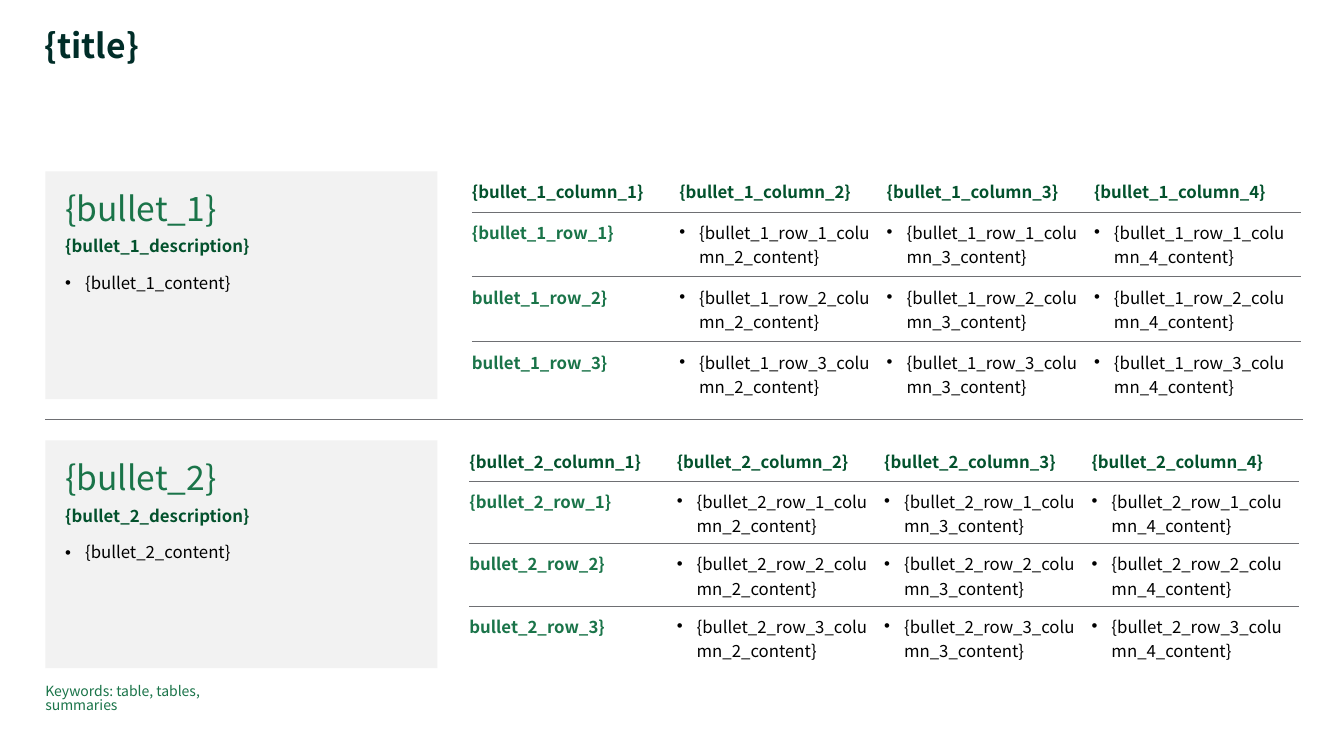
from lxml import etree
from pptx import Presentation
from pptx import util as u
from pptx.dml.color import RGBColor
from pptx.enum import shapes, text
from pptx.oxml import ns

Pt = u.Pt
FONT = "Noto Sans CJK JP"
INK = RGBColor(0x00, 0x2D, 0x28)
DARK = RGBColor(0x03, 0x52, 0x2D)
GREEN = RGBColor(0x1A, 0x74, 0x49)
BLACK = RGBColor(0, 0, 0)
PANEL = RGBColor(0xF2, 0xF2, 0xF2)
RULE = RGBColor(0x6E, 0x6F, 0x73)

# Content
TITLE = "{title}"
KEYWORDS = "Keywords: table, tables, summaries"
COLUMNS = [1, 2, 3, 4]
ROW_LABELS = ["{{bullet_{0}_row_1}}", "bullet_{0}_row_2}}", "bullet_{0}_row_3}}"]
# number, top, table left, bottom inset of the table cells
SECTIONS = [(1, 122.4, 337.1, 5.76), (2, 314.6, 335.3, 4)]

# Layout
LEFT, RIGHT = 32.4, 930.7
PANEL_WIDTH, PANEL_HEIGHT = 280.1, 162.7
COLUMN_WIDTH, HEADER_HEIGHT, ROW_HEIGHT = 148.15, 28.8, 44.64
INDENT = 14.2


def add_child(parent, tag, **attributes):
    return etree.SubElement(parent, ns.qn(tag), attributes)


def write(para, words, size=12, color=BLACK, bold=False, bullet=False, after=0, line=None):
    if bullet:
        props = para._p.get_or_add_pPr()
        props.set("marL", str(Pt(INDENT)))
        props.set("indent", str(-Pt(INDENT)))
        add_child(add_child(props, "a:buClr"), "a:srgbClr", val=str(BLACK))
        add_child(props, "a:buFont", typeface="Arial")
        add_child(props, "a:buChar", char="•")
    para.alignment = text.PP_ALIGN.LEFT
    para.space_before = Pt(0)
    para.space_after = Pt(after)
    if line:
        para.line_spacing = line
    span = para.add_run()
    span.text = words
    font = span.font
    font.name, font.size, font.bold = FONT, Pt(size), bold
    font.color.rgb = color
    for script in ("a:ea", "a:cs"):
        add_child(font._element, script, typeface=FONT)


def set_insets(frame, left=0, top=0, right=0, bottom=0):
    frame.margin_left, frame.margin_top = Pt(left), Pt(top)
    frame.margin_right, frame.margin_bottom = Pt(right), Pt(bottom)


def set_borders(cell, ruled):
    props = cell._tc.get_or_add_tcPr()
    fill = props[0]
    for side in ("a:lnL", "a:lnR", "a:lnT", "a:lnB"):
        border = etree.Element(ns.qn(side), w=str(Pt(0.5)))
        if side in ruled:
            add_child(add_child(border, "a:solidFill"), "a:srgbClr", val=str(RULE))
        else:
            add_child(border, "a:noFill")
        fill.addprevious(border)


def add_summary_table(page, number, top, left, bottom_inset):
    rows, columns = len(ROW_LABELS) + 1, len(COLUMNS)
    table = page.shapes.add_table(rows, columns, Pt(left), Pt(top), Pt(COLUMN_WIDTH * columns),
                                  Pt(HEADER_HEIGHT + ROW_HEIGHT * (rows - 1))).table
    table.horz_banding = False
    for column in table.columns:
        column.width = Pt(COLUMN_WIDTH)
    for r, row in enumerate(table.rows):
        row.height = Pt(ROW_HEIGHT if r else HEADER_HEIGHT)
        ruled = [side for side, shown in (("a:lnT", r > 0), ("a:lnB", r < rows - 1)) if shown]
        for c, cell in enumerate(row.cells):
            cell.fill.background()
            set_borders(cell, ruled)
            set_insets(cell, top=5.76, right=11.5, bottom=bottom_inset if r else 5.76)
            para = cell.text_frame.paragraphs[0]
            if r == 0:
                cell.vertical_anchor = text.MSO_ANCHOR.MIDDLE
                write(para, f"{{bullet_{number}_column_{COLUMNS[c]}}}", color=DARK, bold=True)
            elif c == 0:
                write(para, ROW_LABELS[r - 1].format(number), color=GREEN, bold=True)
            else:
                write(para, f"{{bullet_{number}_row_{r}_column_{COLUMNS[c]}_content}}", bullet=True)


def add_panel(page, number, top):
    box = page.shapes.add_shape(shapes.MSO_SHAPE.RECTANGLE, Pt(LEFT), Pt(top),
                                Pt(PANEL_WIDTH), Pt(PANEL_HEIGHT))
    box.shadow.inherit = False
    box.fill.solid()
    box.fill.fore_color.rgb = PANEL
    box.line.fill.background()
    frame = box.text_frame
    frame.word_wrap = True
    frame.vertical_anchor = text.MSO_ANCHOR.TOP
    set_insets(frame, 14.2, 11.5, 14.2, 11.5)
    write(frame.paragraphs[0], f"{{bullet_{number}}}", size=24, color=GREEN, after=6)
    write(frame.add_paragraph(), f"{{bullet_{number}_description}}", color=DARK, bold=True, after=12)
    item = frame.add_paragraph()
    item.level = 1
    write(item, f"{{bullet_{number}_content}}", bullet=True, after=6)


def main():
    deck = Presentation()
    deck.slide_width, deck.slide_height = Pt(960), Pt(540)
    page = deck.slides.add_slide(deck.slide_layouts[5])

    # Title
    title = page.shapes.title
    title.left, title.top, title.width, title.height = Pt(32), Pt(20.2), Pt(794), Pt(26.6)
    frame = title.text_frame
    frame.word_wrap = True
    frame.auto_size = text.MSO_AUTO_SIZE.NONE
    frame.vertical_anchor = text.MSO_ANCHOR.BOTTOM
    set_insets(frame)
    write(frame.paragraphs[0], TITLE, size=24, color=INK, bold=True, line=0.9)

    # Panels and tables
    for number, top, table_left, bottom_inset in SECTIONS:
        add_panel(page, number, top)
        add_summary_table(page, number, top, table_left, bottom_inset)

    # Divider
    divider = page.shapes.add_connector(shapes.MSO_CONNECTOR.STRAIGHT,
                                        Pt(LEFT), Pt(299.5), Pt(RIGHT), Pt(299.5))
    divider.line.color.rgb = RULE
    divider.line.width = Pt(0.75)
    add_child(divider._element.spPr, "a:effectLst")

    # Keywords
    note = page.shapes.add_textbox(Pt(LEFT), Pt(489.6), Pt(158.4), Pt(12.2))
    note.text_frame.word_wrap = True
    set_insets(note.text_frame)
    write(note.text_frame.paragraphs[0], KEYWORDS, size=10, color=GREEN, after=1.1, line=0.84)

    deck.save("out.pptx")


if __name__ == "__main__":
    main()
